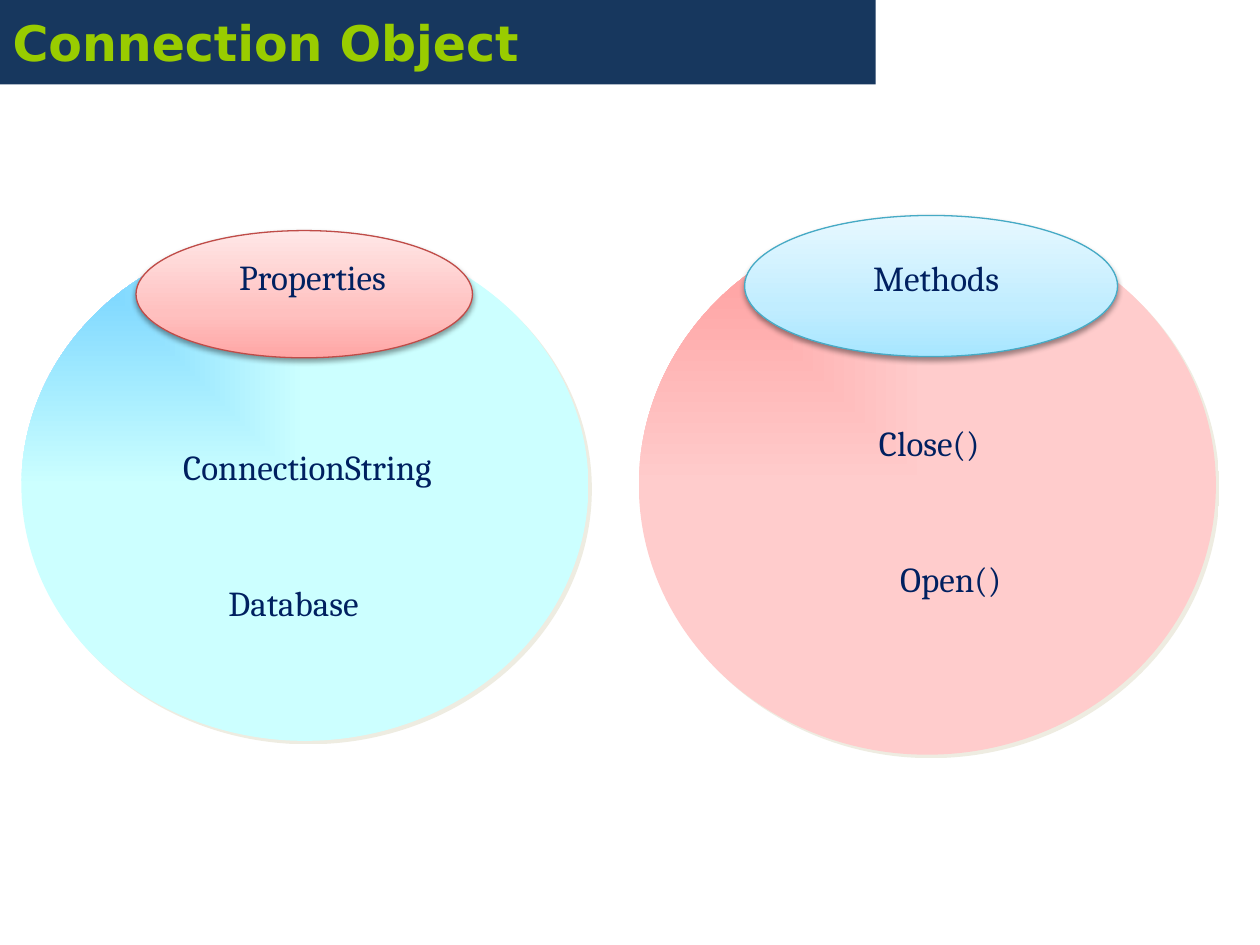
from lxml import etree
from pptx import Presentation
from pptx import util as u
from pptx.dml.color import RGBColor
from pptx.enum import shapes, text
from pptx.oxml import parse_xml
from pptx.oxml.ns import nsdecls, qn

WIDTH, HEIGHT = 10, 7.5

NAVY = RGBColor(0x17, 0x37, 0x5E)
LIME = RGBColor(0x99, 0xCC, 0x00)
INK = RGBColor(0x00, 0x20, 0x60)
BLACK = RGBColor(0x00, 0x00, 0x00)
CREAM = RGBColor(0xEE, 0xEC, 0xE1)
TEAL = RGBColor(0x46, 0xAA, 0xC5)
BRICK = RGBColor(0xBF, 0x4C, 0x48)

# Gradients: (position in percent, colour)
PINK_BODY = [(0, RGBColor(0xFF, 0x99, 0x99)), (100, RGBColor(0xFF, 0xCC, 0xCC))]
AQUA_BODY = [(0, RGBColor(0x66, 0xCC, 0xFF)), (100, RGBColor(0xCC, 0xFF, 0xFF))]
BLUE_CAP = [(0, RGBColor(0xA7, 0xE6, 0xFF)), (35, RGBColor(0xC1, 0xED, 0xFF)),
            (100, RGBColor(0xE7, 0xF8, 0xFF))]
RED_CAP = [(0, RGBColor(0xFF, 0xA6, 0xA5)), (35, RGBColor(0xFF, 0xC0, 0xBF)),
           (100, RGBColor(0xFF, 0xE7, 0xE7))]

CORNER = '<a:path path="rect"><a:fillToRect r="100000" b="100000"/></a:path>'
UPWARD = '<a:lin ang="16200000" scaled="1"/>'

# Shadows: colour, opacity percent, blur pt, distance pt, direction degrees
BODY_SHADOW = (CREAM, 100, 0, 2.8, 45)
CAP_SHADOW = (BLACK, 38, 3.1, 1.6, 90)

# Each group: body box, body gradient, cap box, cap gradient, cap line, labels
GROUPS = [
    ((5.07, 1.71, 4.58, 4.28), PINK_BODY, (5.91, 1.71, 2.96, 1.12), BLUE_CAP, TEAL,
     [("Methods", (6.08, 1.92, 2.7, 0.5)),
      ("Close()", (6.08, 3.25, 2.59, 0.48)),
      ("Open()", (6.25, 4.33, 2.59, 0.48))]),
    ((0.17, 1.83, 4.5, 4.05), AQUA_BODY, (1.08, 1.83, 2.67, 1.01), RED_CAP, BRICK,
     [("Properties", (1.58, 2.08, 1.8, 0.33)),
      ("ConnectionString", (0.75, 3.42, 3.38, 0.5)),
      ("Database", (0.83, 4.5, 3, 0.5))]),
]


def inches(box):
    return [u.Inches(length) for length in box]


def set_gradient(shape, stops, direction):
    marks = "".join(f'<a:gs pos="{pos * 1000}"><a:srgbClr val="{color}"/></a:gs>'
                    for pos, color in stops)
    gradient = parse_xml(f'<a:gradFill {nsdecls("a")} rotWithShape="1">'
                         f'<a:gsLst>{marks}</a:gsLst>{direction}</a:gradFill>')
    shape._element.spPr.find(qn("a:prstGeom")).addnext(gradient)


def set_shadow(shape, color, opacity, blur, distance, angle):
    shape.shadow.inherit = False
    effects = shape._element.spPr.find(qn("a:effectLst"))
    outer = etree.SubElement(effects, qn("a:outerShdw"), blurRad=str(u.Pt(blur)),
                             dist=str(u.Pt(distance)), dir=str(angle * 60000),
                             algn="ctr", rotWithShape="0")
    tint = etree.SubElement(outer, qn("a:srgbClr"), val=str(color))
    etree.SubElement(tint, qn("a:alpha"), val=str(opacity * 1000))


def add_oval(slide, box, stops, direction, shadow, outline=None):
    oval = slide.shapes.add_shape(shapes.MSO_SHAPE.OVAL, *inches(box))
    set_gradient(oval, stops, direction)
    if outline is None:
        oval.line.fill.background()
    else:
        oval.line.color.rgb = outline
        oval.line.width = u.Pt(0.75)
    set_shadow(oval, *shadow)


def style(paragraph, font_name, size, color, align, bold=False):
    paragraph.alignment = align
    font = paragraph.font
    font.name, font.size, font.bold = font_name, u.Pt(size), bold
    font.color.rgb = color


def add_label(slide, wording, box):
    frame = slide.shapes.add_textbox(*inches(box)).text_frame
    frame.word_wrap = True
    frame.vertical_anchor = text.MSO_ANCHOR.BOTTOM
    frame.text = wording
    style(frame.paragraphs[0], "Cambria", 20, INK, text.PP_ALIGN.CENTER)


def set_title(slide, wording, box):
    title = slide.shapes.title
    title.left, title.top, title.width, title.height = inches(box)
    title.fill.solid()
    title.fill.fore_color.rgb = NAVY
    frame = title.text_frame
    frame.text = wording
    frame.auto_size = text.MSO_AUTO_SIZE.NONE
    frame.vertical_anchor = text.MSO_ANCHOR.MIDDLE
    style(frame.paragraphs[0], "DejaVu Sans", 28, LIME, text.PP_ALIGN.LEFT, bold=True)


def main():
    deck = Presentation()
    deck.slide_width, deck.slide_height = inches((WIDTH, HEIGHT))
    slide = deck.slides.add_slide(deck.slide_layouts[5])

    # Title bar
    set_title(slide, "Connection Object", (0, 0, 6.95, 0.67))

    # Methods and properties: a large oval, its heading cap and the labels
    for body, body_fill, cap, cap_fill, cap_line, labels in GROUPS:
        add_oval(slide, body, body_fill, CORNER, BODY_SHADOW)
        add_oval(slide, cap, cap_fill, UPWARD, CAP_SHADOW, cap_line)
        for wording, box in labels:
            add_label(slide, wording, box)

    deck.save("out.pptx")


main()
